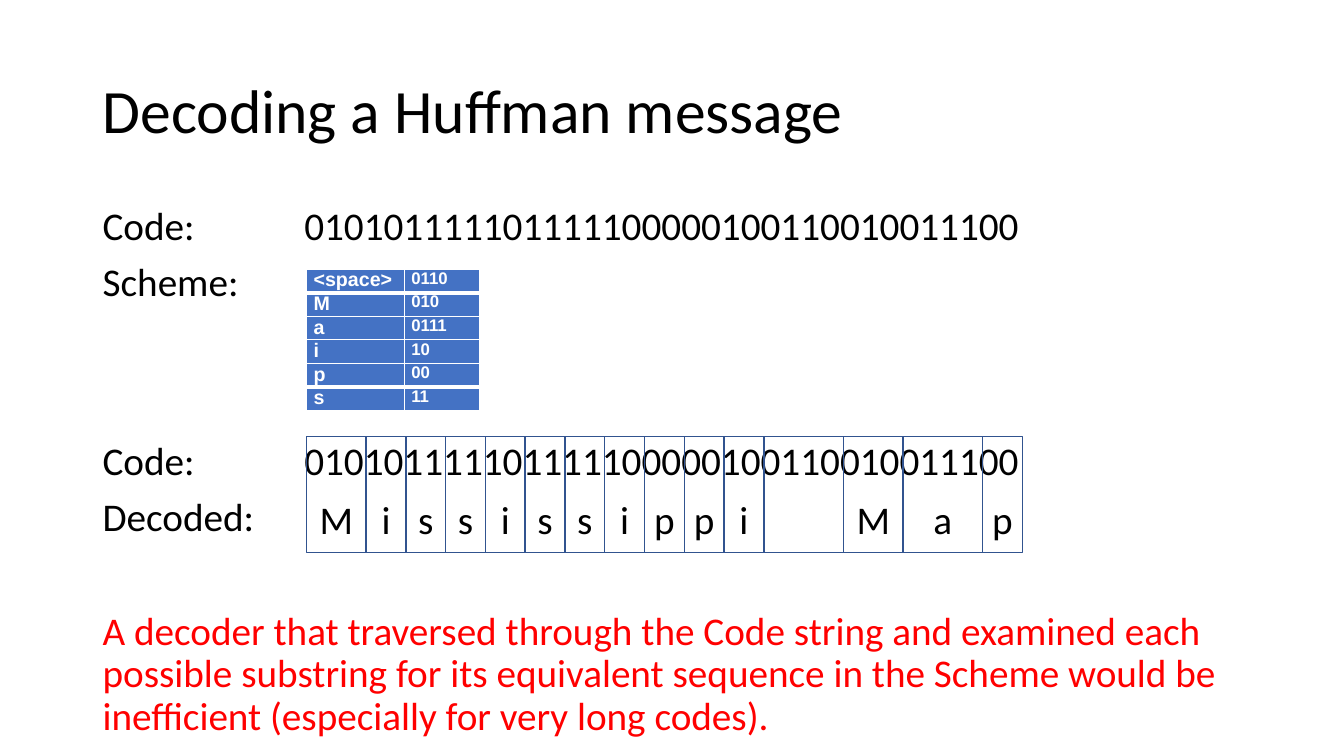
import pptx
import pptx.chart.data
import pptx.dml.color
import pptx.enum.shapes
import pptx.enum.text
import pptx.oxml
import pptx.oxml.ns
import pptx.util
from lxml import etree

Inches = pptx.util.Inches
Pt = pptx.util.Pt
RGBColor = pptx.dml.color.RGBColor
Anchor = pptx.enum.text.MSO_ANCHOR

BLACK = RGBColor(0x00, 0x00, 0x00)
WHITE = RGBColor(0xFF, 0xFF, 0xFF)
RED = RGBColor(0xFF, 0x00, 0x00)
BLUE = RGBColor(0x44, 0x72, 0xC4)
OUTLINE = RGBColor(0x31, 0x53, 0x8F)

SCHEME = {"<space>": "0110", "M": "010", "a": "0111", "i": "10", "p": "00", "s": "11"}
MESSAGE = ["<space>" if letter == " " else letter for letter in "Mississippi Map"]
CODE = "".join(SCHEME[symbol] for symbol in MESSAGE)
CODE_LEFT = 3.04
BIT_WIDTH = 7.1 / len(CODE)
RULES = [1, 3, 1, 1, 1, 3, 1]


def style(paragraph, size, color, face="Calibri", bold=False):
    """Set the font of a whole paragraph."""
    paragraph.font.size = Pt(size)
    paragraph.font.color.rgb = color
    paragraph.font.name = face
    paragraph.font.bold = bold


def add_tab_stop(paragraph, position):
    """Give the paragraph one left tab stop."""
    stops = etree.SubElement(paragraph._p.get_or_add_pPr(), pptx.oxml.ns.qn("a:tabLst"))
    etree.SubElement(stops, pptx.oxml.ns.qn("a:tab"), pos=str(position), algn="l")


def add_text(slide, top, height, lines, size=28, anchor=Anchor.TOP):
    """Add a text box of lines, each a text, a colour and a space before."""
    frame = slide.shapes.add_textbox(
        Inches(0.92), Inches(top), Inches(11.5), Inches(height)).text_frame
    frame.word_wrap = True
    frame.vertical_anchor = anchor
    for index, (text, color, gap) in enumerate(lines):
        paragraph = frame.add_paragraph() if index else frame.paragraphs[0]
        paragraph.text = text
        if "\t" in text:
            add_tab_stop(paragraph, Inches(2))
        paragraph.line_spacing = 0.9
        paragraph.space_before = Pt(gap)
        style(paragraph, size, color)


def add_border(cell, side, width):
    """Draw one white edge of a table cell."""
    edge = etree.SubElement(cell._tc.get_or_add_tcPr(), pptx.oxml.ns.qn(f"a:ln{side}"),
                            w=str(Pt(width)))
    fill = etree.SubElement(edge, pptx.oxml.ns.qn("a:solidFill"))
    etree.SubElement(fill, pptx.oxml.ns.qn("a:srgbClr"), val=str(WHITE))


def add_scheme(slide):
    """Add the table of symbols and their codes."""
    table = slide.shapes.add_table(len(SCHEME), 2, Inches(CODE_LEFT), Inches(2.67),
                                   Inches(1.72), Inches(1.14)).table
    for column, width in zip(table.columns, (0.97, 0.75)):
        column.width = Inches(width)
    for row, entry in enumerate(SCHEME.items()):
        table.rows[row].height = Inches(0.19)
        for column, (text, size) in enumerate(zip(entry, (14, 12))):
            cell = table.cell(row, column)
            cell.margin_left = cell.margin_right = Inches(0.07)
            cell.margin_top = cell.margin_bottom = 0
            for side, width in zip("LRTB", (1, 1, RULES[row], RULES[row + 1])):
                add_border(cell, side, width)
            cell.fill.solid()
            cell.fill.fore_color.rgb = BLUE
            cell.text = text
            style(cell.text_frame.paragraphs[0], size, WHITE, "Arial", True)


def add_symbol_box(slide, symbol, left, width):
    """Frame one code and put its decoded letter at the foot."""
    box = slide.shapes.add_shape(pptx.enum.shapes.MSO_SHAPE.RECTANGLE, Inches(left),
                                 Inches(4.33), Inches(width), Inches(1.15))
    box.shadow.inherit = False
    box.fill.background()
    box.line.color.rgb = OUTLINE
    box.line.width = Pt(1)
    if symbol != "<space>":
        frame = box.text_frame
        frame.margin_left = frame.margin_right = 0
        frame.margin_bottom = Inches(0.1)
        frame.vertical_anchor = Anchor.BOTTOM
        letter = frame.paragraphs[0]
        letter.text = symbol
        letter.alignment = pptx.enum.text.PP_ALIGN.CENTER
        style(letter, 28, BLACK)


def main():
    """Build the slide and save it."""
    deck = pptx.Presentation()
    deck.slide_width = Inches(13.33)
    deck.slide_height = Inches(7.5)
    slide = deck.slides.add_slide(deck.slide_layouts[6])
    code_line = (f"Code: \t{CODE}", BLACK, 0)
    add_text(slide, 0.4, 1.45, [("Decoding a Huffman message", BLACK, 0)], 44, Anchor.MIDDLE)
    add_text(slide, 2, 2.2, [code_line, ("Scheme:", BLACK, 10)])
    add_scheme(slide)
    add_text(slide, 4.33, 3.16, [
        code_line,
        ("Decoded:", BLACK, 10),
        ("A decoder that traversed through the Code string and examined each possible "
         "substring for its equivalent sequence in the Scheme would be inefficient "
         "(especially for very long codes).", RED, 51),
    ])
    left = CODE_LEFT
    for symbol in MESSAGE:
        width = BIT_WIDTH * len(SCHEME[symbol])
        add_symbol_box(slide, symbol, left, width)
        left += width
    deck.save("out.pptx")


if __name__ == "__main__":
    main()
